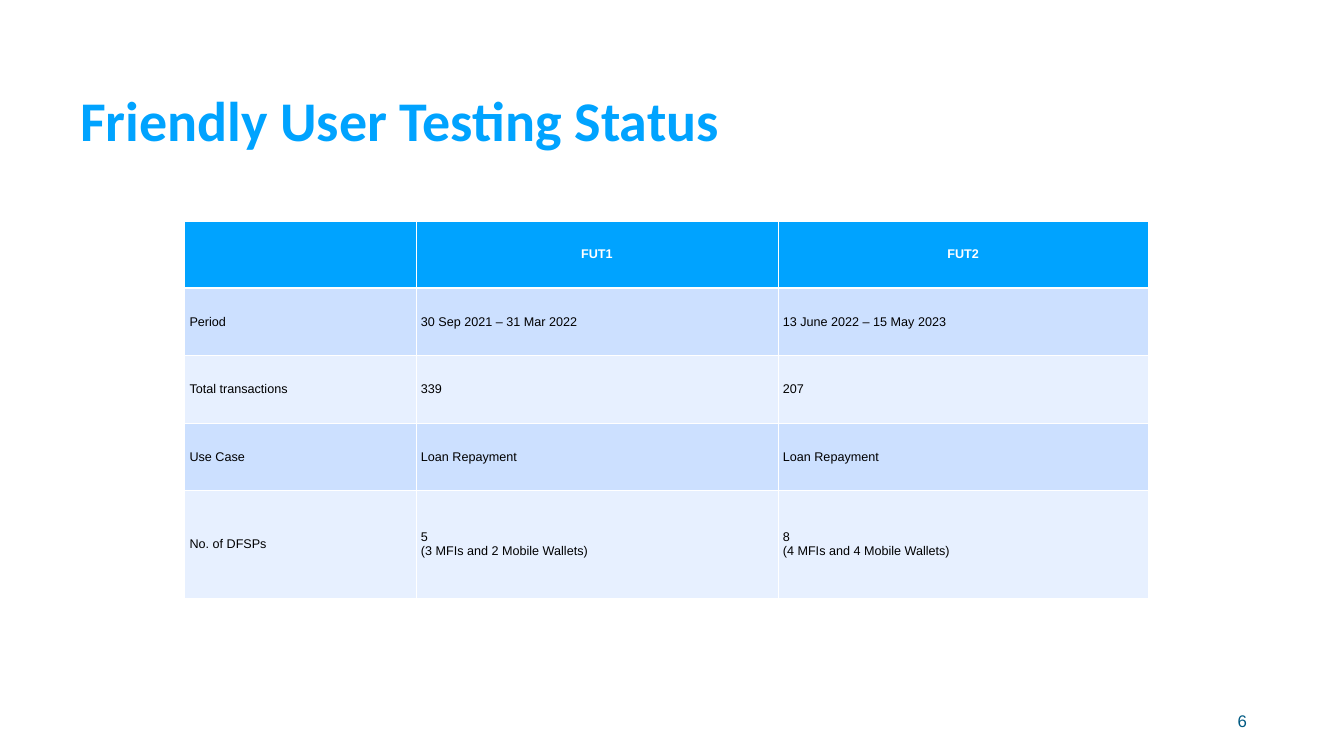
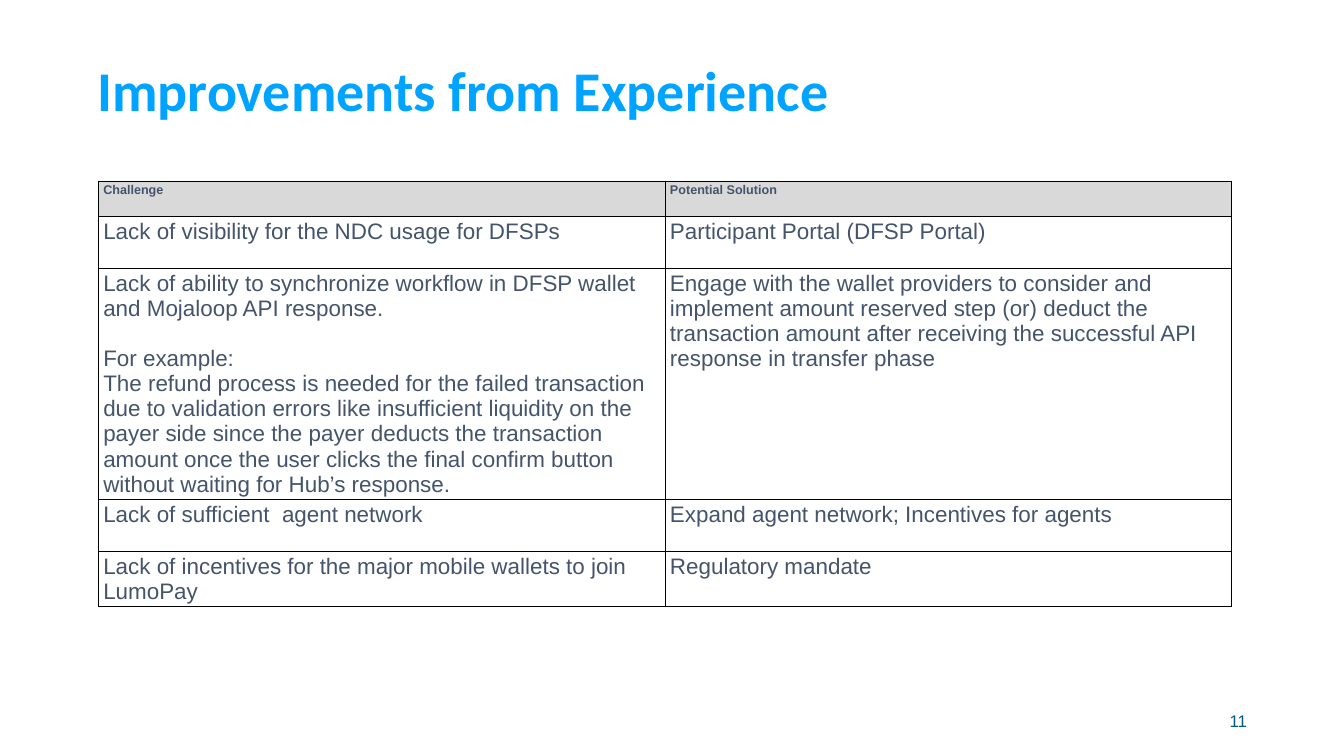
from collections import namedtuple
from dataclasses import dataclass
from typing import Optional

from lxml.etree import SubElement
from pptx import Presentation
from pptx.dml.color import RGBColor
from pptx.enum.text import MSO_ANCHOR as Anchor, MSO_AUTO_SIZE as AutoSize, PP_ALIGN as Align
from pptx.oxml.ns import qn
from pptx.util import Cm, Pt

Box = namedtuple("Box", "left top width height")


@dataclass(frozen=True)
class Theme:
    heading_font: str = "Calibri"
    body_font: str = "Arial"
    title_size: int = 80
    large_size: int = 32
    number_size: int = 24
    small_size: int = 18
    blue: str = "00A3FF"
    deep_blue: str = "005A83"
    pale_blue: str = "CCE0FF"
    faint_blue: str = "E7F0FF"
    slate: str = "44546A"
    grey: str = "D9D9D9"
    white: str = "FFFFFF"
    black: str = "000000"
    blank_line: int = 36


THEME = Theme()


@dataclass(frozen=True)
class TableStyle:
    header_fill: str
    header_ink: str
    header_align: Align
    header_rule: int
    band_fills: tuple
    body_ink: str
    body_size: int
    border: str
    anchor: Anchor


STATUS_STYLE = TableStyle(
    THEME.blue, THEME.white, Align.CENTER, 3, (THEME.pale_blue, THEME.faint_blue),
    THEME.black, THEME.small_size, THEME.white, Anchor.MIDDLE)
CHALLENGE_STYLE = TableStyle(
    THEME.grey, THEME.slate, Align.LEFT, 2, (None,),
    THEME.slate, THEME.large_size, THEME.black, Anchor.TOP)

NUMBER_BOX = Box(47.85, 35.31, 15.24, 2.03)

STATUS_ROWS = [
    ("", "FUT1", "FUT2"),
    ("Period", "30 Sep 2021 – 31 Mar 2022", "13 June 2022 – 15 May 2023"),
    ("Total transactions", "339", "207"),
    ("Use Case", "Loan Repayment", "Loan Repayment"),
    ("No. of DFSPs", "5\v(3 MFIs and 2 Mobile Wallets)", "8\v(4 MFIs and 4 Mobile Wallets)"),
]

CHALLENGE_ROWS = [
    ("Challenge", "Potential Solution"),
    ("Lack of visibility for the NDC usage for DFSPs", "Participant Portal (DFSP Portal)"),
    ("Lack of ability to synchronize workflow in DFSP wallet and Mojaloop API response.\n"
     "For example:\n"
     "The refund process is needed for the failed transaction due to validation errors like "
     "insufficient liquidity on the payer side since the payer deducts the transaction amount "
     "once the user clicks the final confirm button without waiting for Hub’s response.",
     "Engage with the wallet providers to consider and implement amount reserved step (or) "
     "deduct the transaction amount after receiving the successful API response in transfer phase"),
    ("Lack of sufficient  agent network", "Expand agent network; Incentives for agents"),
    ("Lack of incentives for the major mobile wallets to join LumoPay", "Regulatory mandate"),
]


def add_span(para, text, size, ink, bold=False, font=THEME.body_font):
    span = para.add_run()
    span.text = text
    span.font.name = font
    span.font.size = Pt(size)
    span.font.bold = bold
    span.font.color.rgb = RGBColor.from_string(ink)


def lengths(box):
    return [Cm(value) for value in box]


def add_title(page, box, text):
    title = page.shapes.title
    title.left, title.top, title.width, title.height = lengths(box)
    frame = title.text_frame
    frame.word_wrap = True
    frame.auto_size = AutoSize.NONE
    frame.vertical_anchor = Anchor.MIDDLE
    para = frame.paragraphs[0]
    para.alignment = Align.LEFT
    para.line_spacing = 0.9
    add_span(para, text, THEME.title_size, THEME.blue, True, THEME.heading_font)


def add_page_number(page, box, number):
    frame = page.shapes.add_textbox(*lengths(box)).text_frame
    frame.word_wrap = True
    frame.vertical_anchor = Anchor.MIDDLE
    para = frame.paragraphs[0]
    para.alignment = Align.RIGHT
    add_span(para, str(number), THEME.number_size, THEME.deep_blue)


def set_borders(cell, color, bottom_width):
    properties = cell._tc.get_or_add_tcPr()
    for side, width in (("L", 1), ("R", 1), ("T", 1), ("B", bottom_width)):
        line = SubElement(properties, qn(f"a:ln{side}"), w=str(Pt(width)))
        fill = SubElement(line, qn("a:solidFill"))
        SubElement(fill, qn("a:srgbClr"), val=color)


def set_fill(cell, color: Optional[str]):
    if color is None:
        cell.fill.background()
    else:
        cell.fill.solid()
        cell.fill.fore_color.rgb = RGBColor.from_string(color)


def write_cell(cell, text, size, ink, bold, align):
    frame = cell.text_frame
    for index, block in enumerate(text.split("\n")):
        para = frame.add_paragraph() if index else frame.paragraphs[0]
        para.alignment = align
        if index == 1:
            para.space_before = Pt(THEME.blank_line)
        for line_index, line in enumerate(block.split("\v")):
            if line_index:
                para.add_line_break()
            if line:
                add_span(para, line, size, ink, bold)


def add_styled_table(page, box, rows, column_widths, row_heights, style):
    table = page.shapes.add_table(len(rows), len(column_widths), *lengths(box)).table
    for column, width in zip(table.columns, column_widths):
        column.width = Cm(width)
    for row, height in zip(table.rows, row_heights):
        row.height = Cm(height)
    for row_index, texts in enumerate(rows):
        is_header = row_index == 0
        for column_index, text in enumerate(texts):
            cell = table.cell(row_index, column_index)
            cell.vertical_anchor = style.anchor
            set_borders(cell, style.border, style.header_rule if is_header else 1)
            if is_header:
                set_fill(cell, style.header_fill)
                write_cell(cell, text, THEME.small_size, style.header_ink, True, style.header_align)
            else:
                set_fill(cell, style.band_fills[(row_index - 1) % len(style.band_fills)])
                write_cell(cell, text, style.body_size, style.body_ink, False, Align.LEFT)


def add_table_page(deck, title, title_box, number, corner, rows, column_widths, row_heights, style):
    page = deck.slides.add_slide(deck.slide_layouts[5])
    add_title(page, title_box, title)
    table_box = Box(*corner, sum(column_widths), sum(row_heights))
    add_styled_table(page, table_box, rows, column_widths, row_heights, style)
    add_page_number(page, NUMBER_BOX, number)


def main():
    deck = Presentation()
    deck.slide_width, deck.slide_height = Cm(67.73), Cm(38.1)
    add_table_page(
        deck, "Friendly User Testing Status", Box(3.78, 4.22, 44.04, 4.01), 6,
        (9.3, 11.13), STATUS_ROWS, [11.66, 18.24, 18.67], [3.4] * 4 + [5.41], STATUS_STYLE)
    add_table_page(
        deck, "Improvements from Experience", Box(4.65, 1.04, 52.43, 7.37), 11,
        (4.95, 9.12), CHALLENGE_ROWS, [28.56] * 2, [1.78, 2.62, 6.2, 2.62, 2.62], CHALLENGE_STYLE)
    deck.save("out.pptx")


if __name__ == "__main__":
    main()
